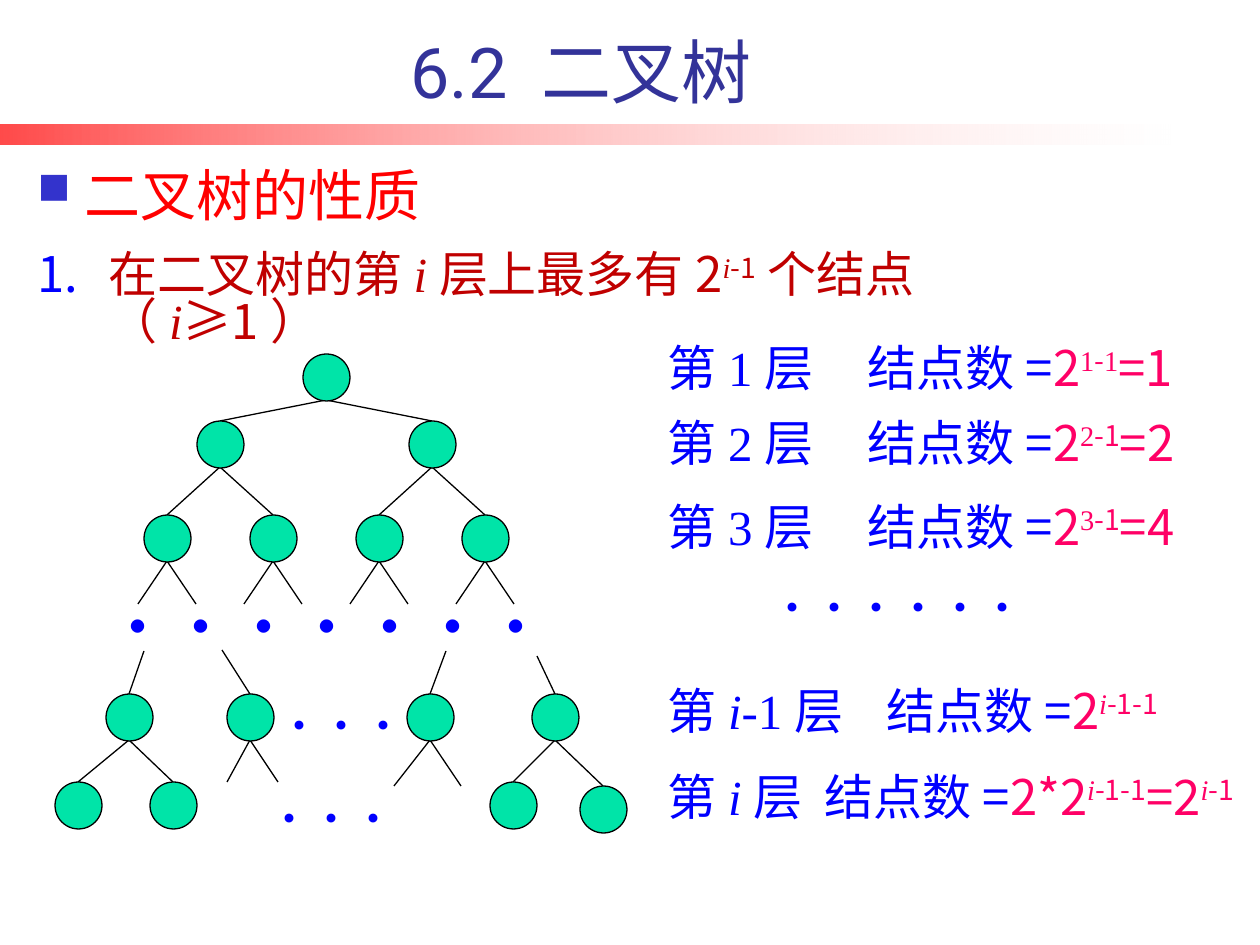
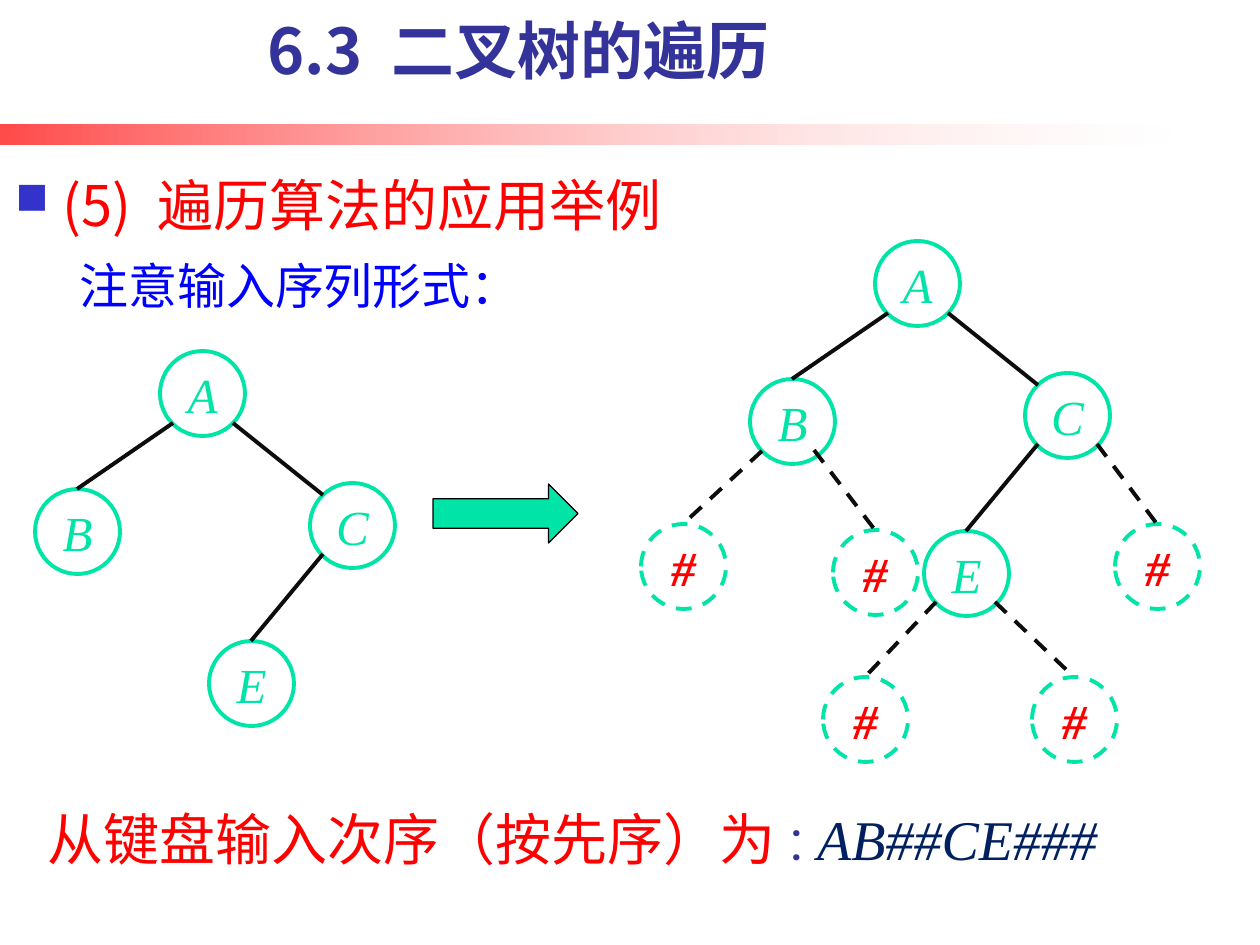
import pptx
import pptx.util
import pptx.dml.color
import pptx.enum.dml
import pptx.enum.shapes
import pptx.enum.text
import pptx.oxml
import pptx.oxml.ns
from lxml import etree

PX = 914400 / 126
COLORS = {
    "red": "FF0000", "white": "FFFFFF", "black": "000000", "ink": "0D0D0D",
    "blue": "0000FF", "title": "333399", "dark_red": "C00000", "pink": "FF0066",
    "green": "00E4A8", "navy": "002060",
}
RGB = {key: pptx.dml.color.RGBColor.from_string(value) for key, value in COLORS.items()}
CJK, LATIN, SERIF = "Noto Sans CJK SC", "Roboto", "Times New Roman"
ALIGN = pptx.enum.text.PP_ALIGN
ANCHOR = pptx.enum.text.MSO_ANCHOR
SHAPE = pptx.enum.shapes.MSO_SHAPE
DASH = pptx.enum.dml.MSO_LINE.DASH
NS = pptx.oxml.ns.nsdecls("a")
qn = pptx.oxml.ns.qn

SQUARE_BULLET = [
    '<a:buClr %s><a:srgbClr val="3333CC"/></a:buClr>',
    '<a:buSzPct %s val="80000"/>',
    '<a:buFont %s typeface="Wingdings"/>',
    '<a:buChar %s char="n"/>',
]
NUMBER_BULLET = [
    '<a:buClr %s><a:srgbClr val="0000FF"/></a:buClr>',
    '<a:buFont %s typeface="+mj-lt"/>',
    '<a:buAutoNum %s type="arabicPeriod"/>',
]


def write(shape, runs, size, color, font=CJK, anchor=ANCHOR.TOP, extras=(), hang=0):
    """Fill a shape with one paragraph and return it.

    A run is (text, marks[, color]); marks are t serif, i italic, ^ superscript.
    extras are bullet or tab elements, hang is the hanging indent in px.
    """
    frame = shape.text_frame
    frame.word_wrap = True
    frame.vertical_anchor = anchor
    paragraph = frame.paragraphs[0]
    props = paragraph._p.get_or_add_pPr()
    for element in extras:
        props.append(pptx.oxml.parse_xml(element % NS))
    if hang:
        props.set("marL", str(round(hang * PX)))
        props.set("indent", str(round(-hang * PX)))
    paragraph.font.size = pptx.util.Pt(size)
    paragraph.font.color.rgb = RGB[color]
    paragraph.font.name = font
    etree.SubElement(props.find(qn("a:defRPr")), qn("a:ea"), typeface=CJK)
    for text, marks, *run_color in runs:
        run = paragraph.add_run()
        run.text = text
        if "t" in marks:
            run.font.name = SERIF
        if "i" in marks:
            run.font.italic = True
        if "^" in marks:
            run._r.get_or_add_rPr().set("baseline", "30000")
        if run_color:
            run.font.color.rgb = RGB[run_color[0]]
    return paragraph


def draw_line(slide, start, end, color="black", width=0.75, dashed=False):
    ends = [round(v * PX) for v in (*start, *end)]
    line = slide.shapes.add_connector(pptx.enum.shapes.MSO_CONNECTOR.STRAIGHT, *ends)
    line.line.color.rgb = RGB[color]
    line.line.width = pptx.util.Pt(width)
    if dashed:
        line.line.dash_style = DASH
    etree.SubElement(line._element.spPr, qn("a:effectLst"))


deck = pptx.Presentation()
deck.slide_width, deck.slide_height = round(1260 * PX), round(945 * PX)

# Shared frame: gradient band, page title, bulleted heading
pages = [
    ("6.2 二叉树", (343, 30, 476, 89), 40, LATIN, False,
     "二叉树的性质", (25, 145, 1074, 89)),
    ("6.3 二叉树的遍历", (123, 4, 791, 89), 36, CJK, True,
     "(5) 遍历算法的应用举例", (3, 155, 764, 89)),
]
slides = []
for title, title_box, title_size, title_font, bold, heading, heading_box in pages:
    slide = deck.slides.add_slide(deck.slide_layouts[6])
    slides.append(slide)
    band = slide.shapes.add_shape(
        SHAPE.RECTANGLE, 0, round(125 * PX), round(1171 * PX), round(20 * PX))
    band.shadow.inherit = False
    band.line.fill.background()
    band.fill.gradient()
    band.fill.gradient_angle = 0
    for stop, color, alpha in zip(band.fill.gradient_stops, ("red", "white"), (71, 18)):
        stop.color.rgb = RGB[color]
        stop.position = 0 if color == "red" else 1
    for shade, alpha in zip(band._element.spPr.iter(qn("a:srgbClr")), (71, 18)):
        etree.SubElement(shade, qn("a:alpha"), val=str(alpha * 1000))

    box = slide.shapes.add_textbox(*[round(v * PX) for v in heading_box])
    paragraph = write(box, [(heading, "")], 32, "red", anchor=ANCHOR.BOTTOM,
                      extras=SQUARE_BULLET, hang=47)
    paragraph.line_spacing = 1.15
    box = slide.shapes.add_textbox(*[round(v * PX) for v in title_box])
    paragraph = write(box, [(title, "")], title_size, "title", title_font, ANCHOR.BOTTOM)
    paragraph.alignment = ALIGN.CENTER
    paragraph.font.bold = bold

properties, traversal = slides

# Slide 1: the property and the node count of each level
box = properties.shapes.add_textbox(*[round(v * PX) for v in (25, 249, 1017, 82)])
statement = write(box, [
    ("在二叉树的第", ""), ("i", "ti"), ("层上最多有2", ""), ("i", "ti^"), ("-1", "^"),
    ("个结点（", ""), ("i", "ti"), ("≥1）", ""),
], 28, "dark_red", extras=NUMBER_BULLET, hang=71)
statement.line_spacing = 0.8

# Each row: top, tab stop, level name, node count
level_rows = [
    (top, 200, [(str(level), "t")],
     [("2", ""), (str(level), "t^"), ("-", "^"), ("1", "t^" if level == 1 else "^"),
      (f"={2 ** (level - 1)}", "")])
    for level, top in ((1, 331), (2, 406), (3, 490))
]
level_rows += [
    (674, 219, [("i-", "ti"), ("1", "t")], [("2", ""), ("i", "ti^"), ("-1-1", "^")]),
    (760, 157, [("i", "ti")],
     [("2*2", ""), ("i", "ti^"), ("-1-1", "^"), ("=2", ""), ("i", "ti^"), ("-1", "^")]),
]
for top, tab, level_name, count in level_rows:
    box = properties.shapes.add_textbox(*[round(v * PX) for v in (655, top, 605, 72)])
    tab_stop = f'<a:tabLst %s><a:tab pos="{round(tab * PX)}" algn="l"/></a:tabLst>'
    runs = [("第", ""), *level_name, ("层\t结点数=", "")]
    runs += [(text, marks, "pink") for text, marks in count]
    write(box, runs, 28, "blue", extras=[tab_stop])

for dots, size, dots_box in [
    (7, 36, (94, 581, 471, 89)), (3, 24, (256, 786, 154, 63)),
    (6, 24, (759, 575, 345, 64)), (3, 24, (266, 693, 154, 64)),
]:
    box = properties.shapes.add_textbox(*[round(v * PX) for v in dots_box])
    write(box, [("·" * dots, "")], size, "blue")

# Slide 1: the tree, as node centres and the edges between them
RADIUS = 23
level_y = [377, 444, 538]
upper = [
    [(167 + 53 * (2 ** (2 - depth) - 1) + 106 * 2 ** (2 - depth) * i, y)
     for i in range(2 ** depth)]
    for depth, y in enumerate(level_y)
]
edges = []
for parents, children in zip(upper, upper[1:]):
    for i, (x, y) in enumerate(children):
        parent_x, parent_y = parents[i // 2]
        edges.append(((parent_x, parent_y + RADIUS), (x, y - RADIUS)))
for x, y in upper[2]:
    edges += [((x, y + RADIUS), (x + side, 604)) for side in (-29, 29)]

# Each lower parent: centre x, end of the edge above, ends of the edges below
lower_y = 717
lower = [
    (129, (144, 651), (78, 782), (173, 782)),
    (250, (222, 650), (227, 782), (278, 782)),
    (430, (446, 651), (394, 786), (461, 786)),
    (555, (537, 656), (513, 782), (603, 786)),
]
for x, above, *below in lower:
    edges.append(((x, lower_y - RADIUS), above))
    edges += [((x, lower_y + RADIUS), end) for end in below]
leaves = [(x, y + RADIUS) for row in (lower[0], lower[3]) for x, y in row[2:]]

for start, end in edges:
    draw_line(properties, start, end)
for x, y in sum(upper, []) + [(row[0], lower_y) for row in lower] + leaves:
    node = properties.shapes.add_shape(
        SHAPE.OVAL, *[round(v * PX) for v in (x - RADIUS, y - RADIUS, 47, 47)])
    node.shadow.inherit = False
    node.fill.solid()
    node.fill.fore_color.rgb = RGB["green"]
    node.line.color.rgb = RGB["black"]
    node.line.width = pptx.util.Pt(0.75)

# Slide 2: the tree, and the same tree completed with # for empty children
box = traversal.shapes.add_textbox(*[round(v * PX) for v in (67, 249, 494, 72)])
write(box, [("注意输入序列形式：", "")], 28, "blue", LATIN)

tree_nodes = [("A", 160, 351), ("B", 35, 489), ("C", 310, 483), ("E", 209, 641)]
tree_edges = [((173, 423), (77, 489)), ((233, 423), (323, 495)), ((323, 554), (251, 641))]
# Each empty child: left, top, start of its edge
empty_children = [
    (641, 524, (762, 451)), (823, 677, (936, 602)), (1032, 677, (995, 602)),
    (1115, 524, (1097, 444)), (833, 530, (814, 450)),
]
nodes, lines = [], []
for dx, dy in ((0, 0), (715, -110)):
    nodes += [(label, x + dx, y + dy) for label, x, y in tree_nodes]
    lines += [((x1 + dx, y1 + dy), (x2 + dx, y2 + dy), False)
              for (x1, y1), (x2, y2) in tree_edges]
nodes += [("#", x, y) for x, y, start in empty_children]
lines += [(start, (x + 42, y), True) for x, y, start in empty_children]

for label, x, y in nodes:
    empty = label == "#"
    node = traversal.shapes.add_shape(SHAPE.OVAL, *[round(v * PX) for v in (x, y, 85, 85)])
    node.shadow.inherit = False
    node.fill.solid()
    node.fill.fore_color.rgb = RGB["white"]
    node.line.color.rgb = RGB["green"]
    node.line.width = pptx.util.Pt(2.25)
    if empty:
        node.line.dash_style = DASH
    paragraph = write(node, [(label, "")], 28, "red" if empty else "green",
                      SERIF, ANCHOR.MIDDLE)
    paragraph.alignment = ALIGN.CENTER
    paragraph.font.italic = True
    paragraph.font.bold = empty
for start, end, dashed in lines:
    draw_line(traversal, start, end, "ink", 2.25, dashed)

arrow = traversal.shapes.add_shape(
    SHAPE.RIGHT_ARROW, *[round(v * PX) for v in (433, 484, 145, 59)])
arrow.shadow.inherit = False
arrow.fill.solid()
arrow.fill.fore_color.rgb = RGB["green"]
arrow.line.color.rgb = RGB["black"]
arrow.line.width = pptx.util.Pt(0.75)

box = traversal.shapes.add_textbox(*[round(v * PX) for v in (35, 798, 1225, 80)])
write(box, [("从键盘输入次序（按先序）为", ""), (": ", "", "title"),
            ("AB##CE###", "ti", "navy")], 32, "red", LATIN)

deck.save("out.pptx")
